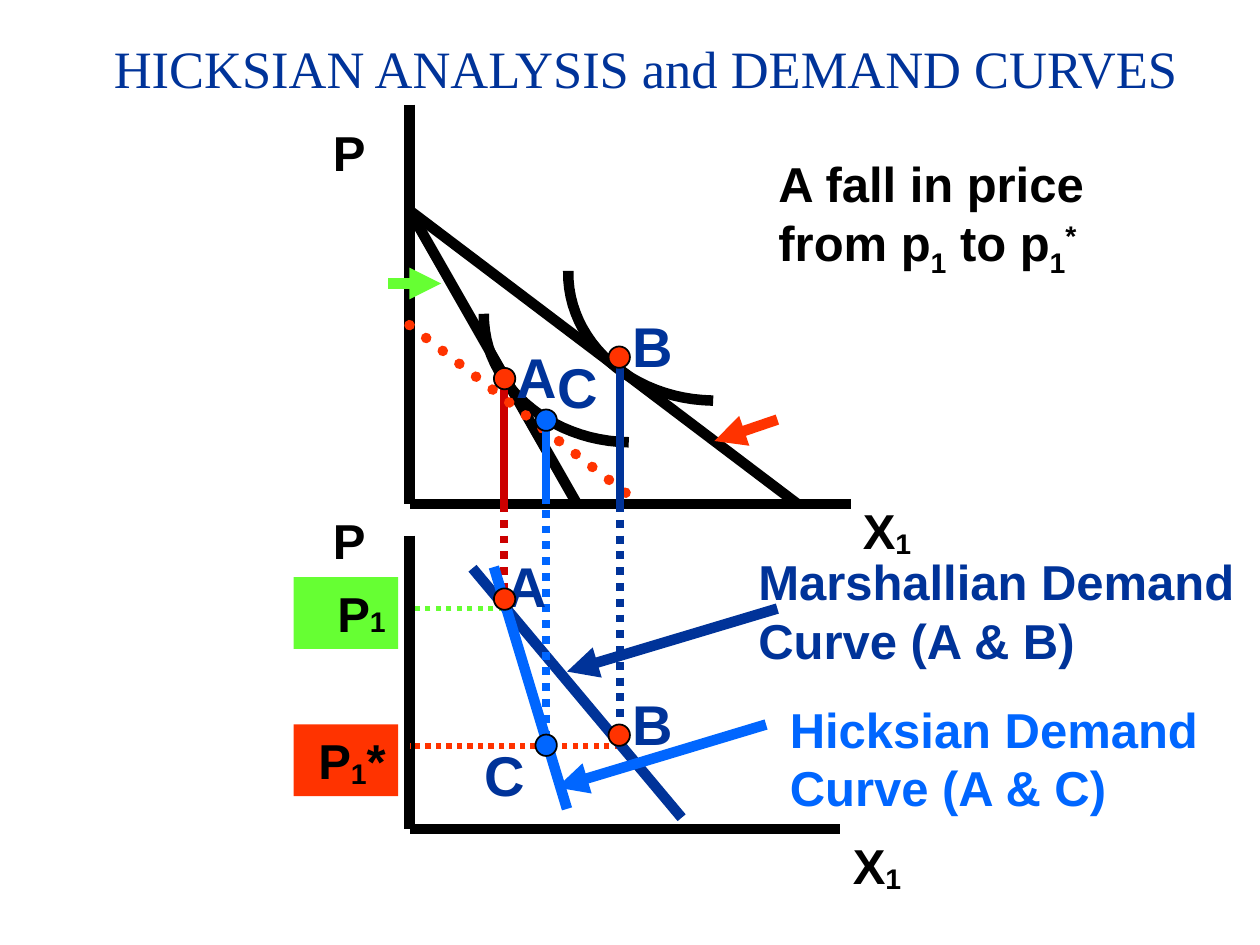
from dataclasses import dataclass
from lxml.etree import SubElement
from pptx import Presentation
from pptx.dml.color import RGBColor
from pptx.enum.dml import MSO_LINE
from pptx.enum.shapes import MSO_CONNECTOR, MSO_SHAPE
from pptx.enum.text import MSO_ANCHOR, MSO_AUTO_SIZE as AutoSize, PP_ALIGN as Align
from pptx.oxml.ns import qn
from pptx.util import Inches, Pt

COLORS = {"black": "000000", "navy": "003399", "blue": "0066FF",
          "red": "FF3300", "crimson": "CC0000", "green": "66FF33"}
DOT_SIZE = 0.17


@dataclass
class Line:
    start: tuple
    end: tuple
    color: str = "black"
    width: float = 6
    dotted: bool = False
    arrow: bool = False
    round_cap: bool = False


@dataclass
class Curve:
    points: tuple


@dataclass
class Dot:
    left: float
    top: float
    color: str = "red"


@dataclass
class Label:
    box: tuple
    runs: tuple
    color: str = "black"
    size: int = 28
    align: Align = Align.LEFT
    fill: str = ""


def rgb(color: str) -> RGBColor:
    return RGBColor.from_string(COLORS[color])


def set_font(font, name: str, size: int, color: str, bold: bool) -> None:
    for key, value in {"name": name, "size": Pt(size), "bold": bold}.items():
        setattr(font, key, value)
    font.color.rgb = rgb(color)


def draw_line(shapes, line: Line) -> None:
    connector = shapes.add_connector(
        MSO_CONNECTOR.STRAIGHT, *map(Inches, line.start + line.end))
    connector.line.color.rgb = rgb(line.color)
    connector.line.width = Pt(line.width)
    if line.dotted:
        connector.line.dash_style = MSO_LINE.ROUND_DOT
    properties = connector._element.spPr
    outline = properties.find(qn("a:ln"))
    if line.round_cap:
        outline.set("cap", "rnd")
    if line.arrow:
        SubElement(outline, qn("a:tailEnd")).set("type", "triangle")
    SubElement(properties, qn("a:effectLst"))


def bezier(points: tuple, t: float) -> tuple:
    weights = ((1 - t) ** 3, 3 * t * (1 - t) ** 2, 3 * t * t * (1 - t), t ** 3)
    return tuple(Inches(sum(w * p[axis] for w, p in zip(weights, points)))
                 for axis in (0, 1))


def draw_curve(shapes, curve: Curve) -> None:
    steps = 24
    vertices = [bezier(curve.points, step / steps) for step in range(steps + 1)]
    builder = shapes.build_freeform(*vertices[0])
    builder.add_line_segments(vertices[1:], close=False)
    shape = builder.convert_to_shape()
    shape.shadow.inherit = False
    shape.fill.background()
    shape.line.color.rgb = rgb("black")
    shape.line.width = Pt(6)


def draw_dot(shapes, dot: Dot) -> None:
    shape = shapes.add_shape(
        MSO_SHAPE.OVAL, *map(Inches, (dot.left, dot.top, DOT_SIZE, DOT_SIZE)))
    shape.shadow.inherit = False
    shape.fill.solid()
    shape.fill.fore_color.rgb = rgb(dot.color)
    shape.line.color.rgb = rgb("black")
    shape.line.width = Pt(1)


def draw_label(shapes, label: Label) -> None:
    box = tuple(map(Inches, label.box))
    if label.fill:
        shape = shapes.add_shape(MSO_SHAPE.RECTANGLE, *box)
        shape.shadow.inherit = False
        shape.fill.solid()
        shape.fill.fore_color.rgb = rgb(label.fill)
        shape.line.fill.background()
    else:
        shape = shapes.add_textbox(*box)
    frame_format = {"word_wrap": True, "vertical_anchor": MSO_ANCHOR.TOP,
                    "auto_size": AutoSize.SHAPE_TO_FIT_TEXT}
    for key, value in frame_format.items():
        setattr(shape.text_frame, key, value)
    paragraph = shape.text_frame.paragraphs[0]
    paragraph.alignment = label.align
    for text, baseline in label.runs:
        run = paragraph.add_run()
        run.text = text
        set_font(run.font, "Arial", label.size, label.color, True)
        if baseline:
            run._r.get_or_add_rPr().set("baseline", str(baseline * 1000))


def point_label(letter: str, left: float, top: float, width: float = 0.5) -> Label:
    return Label((left, top, width, 0.63), ((letter, 0),), "navy", 32)


def price_axis_label(top: float) -> Label:
    return Label((2, top, 1, 0.57), (("P", 0),), align=Align.RIGHT)


def quantity_axis_label(left: float, top: float) -> Label:
    return Label((left, top, 1.17, 0.57), (("X", 0), ("1", -10)))


def price_tag(top: float, fill: str, runs: tuple) -> Label:
    return Label((2.33, top, 0.83, 0.57), runs, align=Align.RIGHT, fill=fill)


ELEMENTS = [
    Line((3.25, 0.83), (3.25, 4)),
    Line((3.25, 4), (6.75, 4)),
    Line((3.25, 4.25), (3.25, 6.58)),
    Line((3.25, 6.58), (6.67, 6.58)),
    Line((3.25, 1.67), (4.58, 4)),
    Line((3.25, 1.67), (6.33, 4)),
    Curve(((4.99, 3.51), (4.35, 3.5), (3.83, 3.04), (3.84, 2.49))),
    Curve(((5.66, 3.18), (5.01, 3.17), (4.5, 2.71), (4.51, 2.15))),
    Line((4, 3), (4, 4), "crimson", 4.5),
    Line((4, 4), (4, 4.67), "crimson", 4.5, dotted=True),
    Line((4, 4.83), (3.25, 4.83), "green", 3, dotted=True),
    price_tag(4.58, "green", (("P", 0), ("1", -1))),
    Line((3.25, 2.58), (5.08, 4), "red", dotted=True, round_cap=True),
    Line((4.92, 2.92), (4.92, 4), "navy", 4.5),
    Line((4.92, 3.5), (4.92, 6), "navy", 4.5, dotted=True),
    price_tag(5.75, "red", (("P", 0), ("1", -10), ("*", 0))),
    Line((4.92, 5.92), (3.25, 5.92), "red", 3, dotted=True),
    Line((3.75, 4.51), (5.41, 6.49), "navy"),
    Line((4.33, 3.33), (4.33, 4), "blue", 4.5),
    Line((4.33, 3.42), (4.33, 5.92), "blue", 4.5, dotted=True),
    Line((3.92, 4.5), (4.5, 6.42), "blue"),
    Line((3.08, 2.25), (3.5, 2.25), "green", arrow=True),
    Line((6.17, 3.33), (5.67, 3.5), "red", arrow=True),
    point_label("A", 4, 2.67),
    point_label("A", 3.92, 4.33),
    point_label("B", 4.92, 2.42),
    point_label("B", 4.92, 5.42, 0.58),
    Dot(3.92, 2.92),
    Dot(4.83, 2.75),
    Dot(3.92, 4.67),
    Dot(4.83, 5.75),
    Dot(4.25, 5.83, "blue"),
    point_label("C", 4.33, 2.75),
    Dot(4.25, 3.25, "blue"),
    Label((6.17, 5.5, 3.58, 1.03), (("Hicksian Demand Curve (A & C)", 0),), "blue"),
    Line((6.17, 4.83), (4.5, 5.33), "navy", arrow=True),
    Label((5.92, 4.33, 4.08, 1.03), (("Marshallian Demand Curve (A & B)", 0),), "navy"),
    Line((6.08, 5.75), (4.42, 6.25), "blue", arrow=True),
    price_axis_label(0.92),
    quantity_axis_label(6.75, 3.92),
    quantity_axis_label(6.67, 6.58),
    price_axis_label(4),
    Label((6.08, 1.17, 3.58, 1.03), (("A fall in price from p", 0), ("1", -25),
                                     (" to p", 0), ("1", -25), ("*", 30))),
    point_label("C", 3.75, 5.83, 0.58),
]
DRAWERS = {Line: draw_line, Curve: draw_curve, Dot: draw_dot, Label: draw_label}


def main() -> None:
    presentation = Presentation()
    presentation.slide_width, presentation.slide_height = Inches(10), Inches(7.5)
    slide = presentation.slides.add_slide(presentation.slide_layouts[5])
    title = slide.shapes.title
    title_box = {"left": 0.5, "top": 0.25, "width": 9.25, "height": 0.58}
    for key, value in title_box.items():
        setattr(title, key, Inches(value))
    title.text_frame.text = "HICKSIAN ANALYSIS and DEMAND CURVES"
    title.text_frame.auto_size = AutoSize.NONE
    title.text_frame.vertical_anchor = MSO_ANCHOR.MIDDLE
    paragraph = title.text_frame.paragraphs[0]
    paragraph.alignment = Align.CENTER
    set_font(paragraph.runs[0].font, "Times New Roman", 30, "navy", False)
    for element in ELEMENTS:
        DRAWERS[type(element)](slide.shapes, element)
    presentation.save("out.pptx")


if __name__ == "__main__":
    main()
